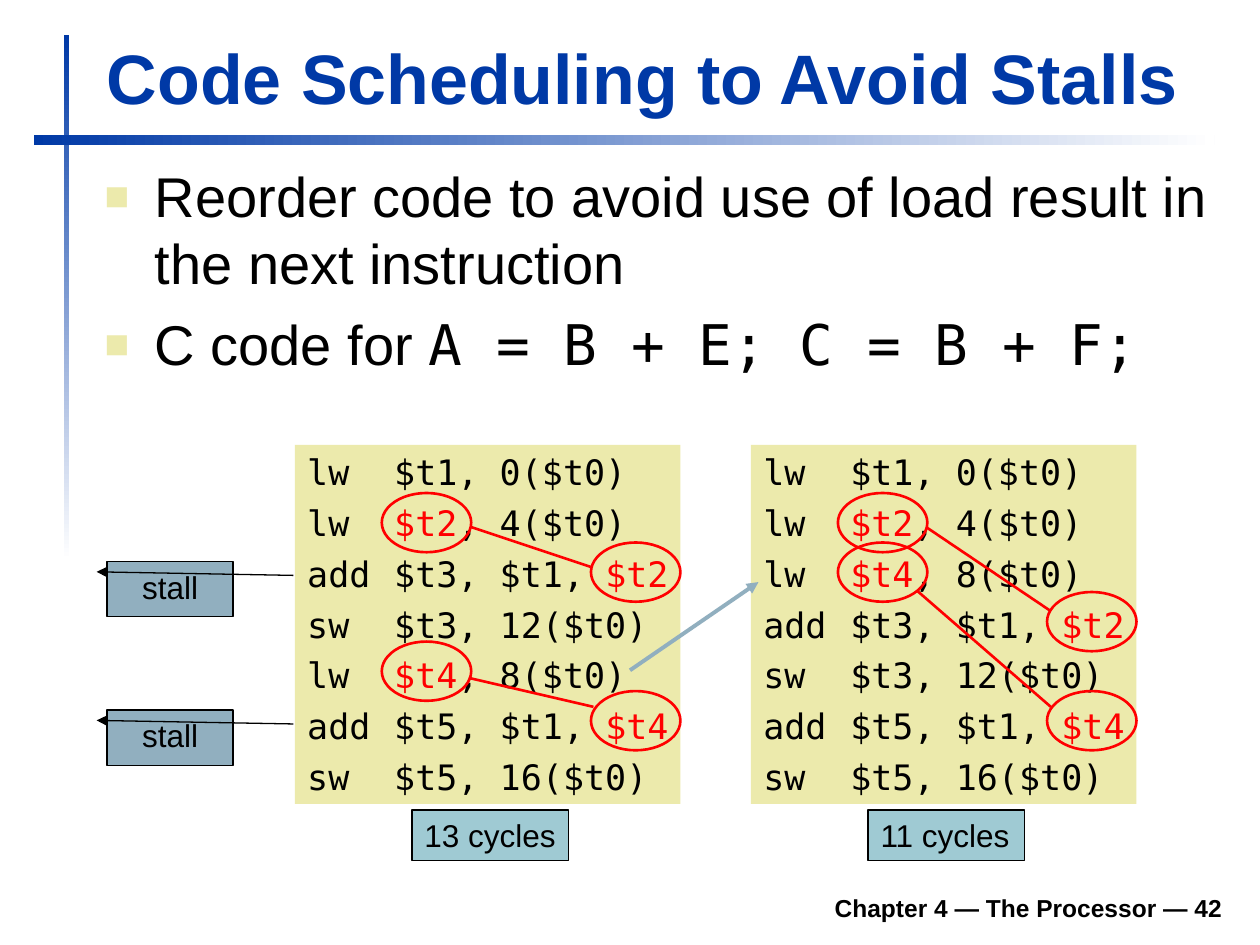
import pptx
import pptx.util
import pptx.dml.color
import pptx.enum.shapes
import pptx.enum.text
import pptx.oxml.ns
import lxml.etree

Pt = pptx.util.Pt
SHAPE = pptx.enum.shapes.MSO_SHAPE
ALIGN = pptx.enum.text.PP_ALIGN
ANCHOR = pptx.enum.text.MSO_ANCHOR
qn = pptx.oxml.ns.qn

theme = {
    "blue": "0039A6", "white": "FFFFFF", "black": "000000", "red": "FF0000",
    "sand": "ECEAAC", "steel": "91AFBF", "aqua": "9FCAD3",
    "sans": "Arial", "mono": "DejaVu Sans Mono",
    "title": 40, "body": 32, "code": 20, "label": 18, "footer": 14,
}

deck = pptx.Presentation()
deck.slide_width = pptx.util.Inches(10)
deck.slide_height = pptx.util.Inches(7.5)
slide = deck.slides.add_slide(deck.slide_layouts[6])
shapes = slide.shapes
column = deck.slide_width / 10
row = deck.slide_height / 7.5


def block(kind, x, y, w, h, fill=None, line=None, weight=0.75):
    area = [round(v) for v in (x * column, y * row, w * column, h * row)]
    if kind is None:
        return shapes.add_textbox(*area)
    shape = shapes.add_shape(kind, *area)
    shape.shadow.inherit = False
    if fill:
        shape.fill.solid()
        shape.fill.fore_color.rgb = pptx.dml.color.RGBColor.from_string(theme[fill])
    else:
        shape.fill.background()
    if line:
        shape.line.color.rgb = pptx.dml.color.RGBColor.from_string(theme[line])
        shape.line.width = Pt(weight)
    else:
        shape.line.fill.background()
    return shape


def write(shape, lines, size, font="sans", color="black", marked=None,
          align=ALIGN.LEFT, anchor=ANCHOR.TOP, bold=False, gap=0):
    frame = shape.text_frame
    frame.word_wrap = True
    frame.vertical_anchor = anchor
    for number, text in enumerate(lines):
        paragraph = frame.add_paragraph() if number else frame.paragraphs[0]
        paragraph.alignment = align
        if number:
            paragraph.space_before = Pt(gap)
        for part, words in enumerate(text.split("|")):
            if not words:
                continue
            run = paragraph.add_run()
            run.text = words
            run_font, run_color = marked if part % 2 else (font, color)
            run.font.name = theme[run_font]
            run.font.size = Pt(theme[size])
            run.font.bold = bold
            run.font.color.rgb = pptx.dml.color.RGBColor.from_string(theme[run_color])
    return frame


for area, angle in (((0.51, 0.28, 0.04, 4.17), 270), ((0.27, 1.07, 9.37, 0.08), 0)):
    rule = block(SHAPE.RECTANGLE, *area)
    rule.fill.gradient()
    rule.fill.gradient_angle = angle
    for stop, shade in zip(rule.fill.gradient_stops, ("blue", "white")):
        stop.color.rgb = pptx.dml.color.RGBColor.from_string(theme[shade])

write(block(None, 1.85, 6.98, 7.95, 0.39), ["Chapter 4 — The Processor — 42"],
      "footer", align=ALIGN.RIGHT, anchor=ANCHOR.BOTTOM, bold=True)
write(block(None, 0.75, 0.16, 9.03, 0.83), ["Code Scheduling to Avoid Stalls"],
      "title", color="blue", anchor=ANCHOR.BOTTOM, bold=True)

points = write(block(None, 0.75, 1.23, 9.04, 2.02), [
    "Reorder code to avoid use of load result in the next instruction",
    "C code for |A = B + E; C = B + F;|",
], "body", marked=("mono", "black"), gap=8)
for point in points.paragraphs:
    props = point._p.get_or_add_pPr()
    props.set("marL", str(round(0.38 * column)))
    props.set("indent", str(round(-0.38 * column)))
    bullet_color = lxml.etree.SubElement(props, qn("a:buClr"))
    lxml.etree.SubElement(bullet_color, qn("a:srgbClr"), val=theme["sand"])
    lxml.etree.SubElement(props, qn("a:buSzPct"), val="60000")
    lxml.etree.SubElement(props, qn("a:buFont"), typeface=theme["mono"])
    lxml.etree.SubElement(props, qn("a:buChar"), char="■")

instructions = [
    "lw\t$t1, 0($t0)",
    "lw\t|$t2|, 4($t0)",
    "add\t$t3, $t1, |$t2|",
    "sw\t$t3, 12($t0)",
    "lw\t|$t4|, 8($t0)",
    "add\t$t5, $t1, |$t4|",
    "sw\t$t5, 16($t0)",
]
panel_left = (2.34, 5.96)
orders = ((0, 1, 2, 3, 4, 5, 6), (0, 1, 4, 2, 3, 5, 6))
cycles = ("13 cycles", "11 cycles")
line_step = 0.393

for left, order, count in zip(panel_left, orders, cycles):
    panel = block(SHAPE.RECTANGLE, left, 3.53, 3.06, 2.85, "sand")
    listing = write(panel, [instructions[i] for i in order], "code", "mono",
                    marked=("mono", "red"), gap=5)
    listing.margin_right = 0
    for instruction in listing.paragraphs:
        tabs = lxml.etree.SubElement(instruction._p.get_or_add_pPr(), qn("a:tabLst"))
        lxml.etree.SubElement(tabs, qn("a:tab"), pos=str(round(0.69 * column)), algn="l")
    badge = block(SHAPE.RECTANGLE, left + 0.93, 6.43, 1.24, 0.4, "aqua", "black")
    write(badge, [count], "label").margin_right = 0

for stalled in (2, 5):
    stall = block(SHAPE.LINE_CALLOUT_1, 0.85, 3.67 + stalled * line_step, 1, 0.44,
                  "steel", "black")
    for i, share in enumerate((0.188, -0.083, 0.253, 1.479)):
        stall.adjustments[i] = share
    lxml.etree.SubElement(stall.line._get_or_add_ln(), qn("a:headEnd"), type="triangle")
    write(stall, ["stall"], "label", align=ALIGN.CENTER)

for left, order in zip(panel_left, orders):
    for place, i in enumerate(order):
        if "|" in instructions[i]:
            offset = 0.69 if instructions[i].startswith("lw") else 2.35
            block(SHAPE.OVAL, left + offset, 3.52 + place * line_step, 0.71, 0.47,
                  line="red", weight=1.5)

links = [
    (5, 5.32, 6.02, 4.62, "steel", 2.25),
    (3.73, 4.18, 4.69, 4.5, "red", 1.5),
    (3.72, 5.38, 4.71, 5.61, "red", 1.5),
    (7.36, 4.19, 8.34, 4.85, "red", 1.5),
    (7.28, 4.69, 8.34, 5.61, "red", 1.5),
]
for x1, y1, x2, y2, shade, weight in links:
    link = shapes.add_connector(
        pptx.enum.shapes.MSO_CONNECTOR.STRAIGHT,
        round(x1 * column), round(y1 * row), round(x2 * column), round(y2 * row))
    link.line.color.rgb = pptx.dml.color.RGBColor.from_string(theme[shade])
    link.line.width = Pt(weight)
    if shade == "steel":
        lxml.etree.SubElement(link.line._get_or_add_ln(), qn("a:tailEnd"), type="triangle")
    lxml.etree.SubElement(link._element.spPr, qn("a:effectLst"))

deck.save("out.pptx")
